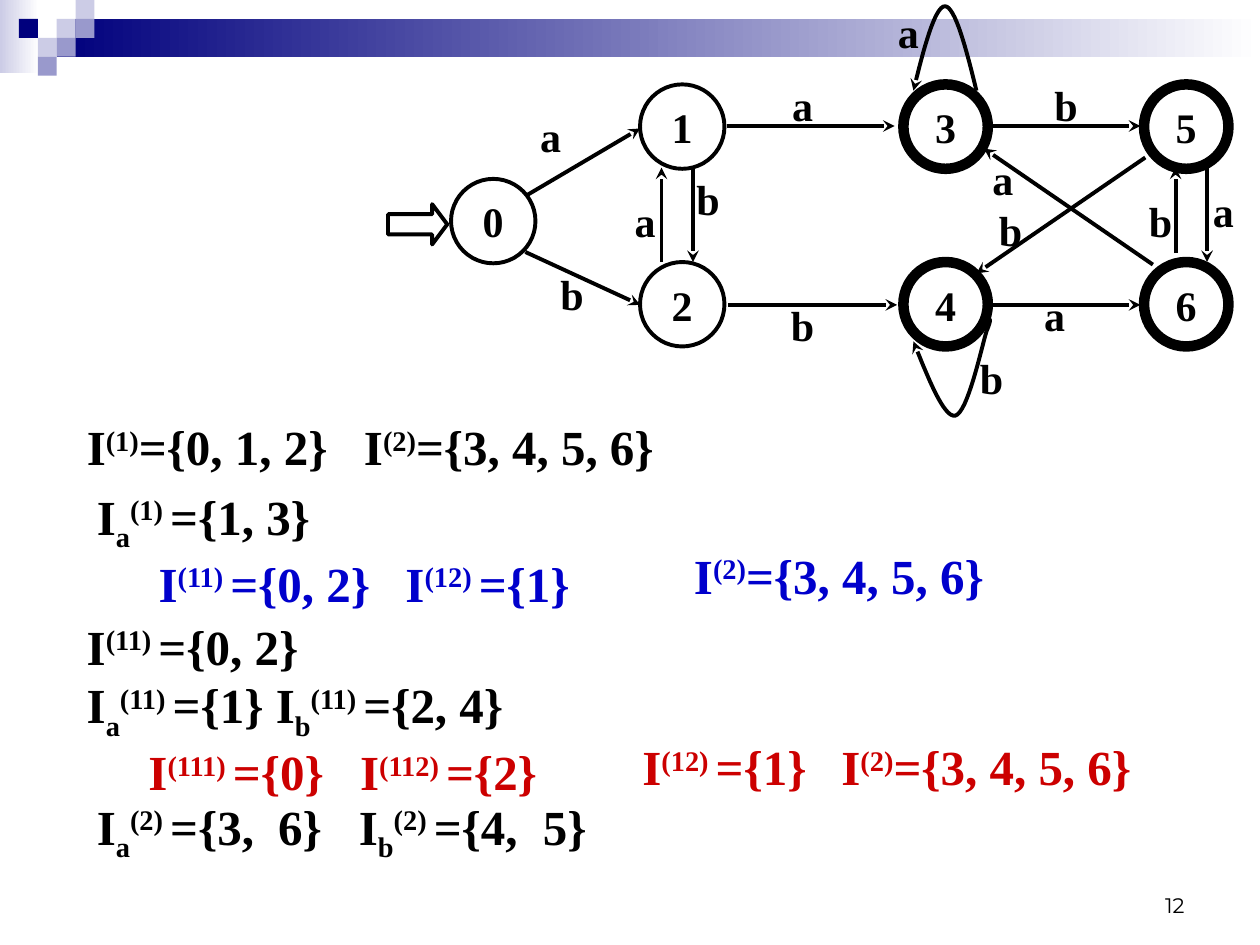
from dataclasses import dataclass

from lxml.etree import SubElement as add_tag
from pptx import Presentation
from pptx.dml.color import RGBColor as Rgb
from pptx.enum.shapes import MSO_CONNECTOR as Link, MSO_SHAPE as Shape
from pptx.enum.text import MSO_ANCHOR as Anchor, PP_ALIGN as Align
from pptx.oxml.ns import qn
from pptx.util import Inches, Pt


@dataclass(frozen=True)
class Theme:
    black: str = "000000"
    white: str = "FFFFFF"
    blue: str = "0000CC"
    red: str = "CC0000"
    navy: str = "00007D"
    lilac: str = "9999CC"
    pale: str = "CCCCE6"
    serif: str = "Times New Roman"
    sans: str = "Montserrat"
    math: int = 28
    label: int = 24
    page: int = 12
    thin: float = 2.25
    thick: float = 6


THEME = Theme()
NODE = 0.67
TOP, MID, LOW = 0.67, 1.42, 2.08

# State name: left, top, line width
STATES = {
    "0": (3.58, MID, THEME.thin),
    "1": (5.08, TOP, THEME.thin),
    "2": (5.08, LOW, THEME.thin),
    "3": (7.17, TOP, THEME.thick),
    "4": (7.17, LOW, THEME.thick),
    "5": (9.08, TOP, THEME.thick),
    "6": (9.08, LOW, THEME.thick),
}

# Each edge: start, end, letter, left and top of the letter's box
EDGES = [
    ((4.18, 1.55), (5.08, 1.02), "a", (4.08, 0.83)),
    ((5.77, 1), (7.1, 1), "a", (6.08, 0.58)),
    ((7.88, 1), (9.05, 1), "b", (8.17, 0.58)),
    ((4.17, 2), (5.08, 2.42), "b", (4.25, 2.08)),
    ((5.78, 2.42), (7.12, 2.42), "b", (6.08, 2.33)),
    ((7.88, 2.42), (9.05, 2.42), "a", (8.08, 2.25)),
    ((5.5, 1.33), (5.5, 2.08), "b", (5.33, 1.33)),
    ((5.25, 2.08), (5.25, 1.33), "a", (4.83, 1.5)),
    ((9.58, 1.33), (9.58, 2.08), "a", (9.42, 1.42)),
    ((9.33, 2.01), (9.33, 1.33), "b", (8.92, 1.5)),
    ((9.15, 2.1), (7.81, 1.18), "a", (7.67, 1.17)),
    ((9.09, 1.25), (7.75, 2.17), "b", (7.73, 1.57)),
]

# Each loop: start, Bezier pieces, letter, left and top of the letter's box
LOOPS = [
    ((7.75, 0.72),
     [((7.67, 0.39), (7.58, 0.05), (7.5, 0.05)),
      ((7.42, 0.05), (7.33, 0.39), (7.25, 0.72))], "a", (6.92, 0)),
    ((7.83, 2.55),
     [((7.85, 2.53), (7.88, 2.51), (7.83, 2.63)),
      ((7.79, 2.76), (7.68, 3.28), (7.58, 3.3)),
      ((7.49, 3.31), (7.37, 3.01), (7.25, 2.71))], "b", (7.58, 2.75)),
]

# Each box: place, then lines of (colour, tab stops, text);
# bars split the text into parts, ^ raises a part and _ lowers it
SETS = [
    ((0.59, 3.26, 5.75, 0.57),
     [(THEME.black, [2.2], "I|^(1)|={0, 1, 2}\tI|^(2)|={3, 4, 5, 6}")]),
    ((0.67, 3.81, 8.6, 1.1),
     [(THEME.black, [], "I|_a|^(1) |={1, 3}"),
      (THEME.blue, [0.49, 2.45], "\tI|^(11) |={0, 2}\tI|^(12) |={1}")]),
    ((5.41, 4.28, 3.07, 0.57),
     [(THEME.blue, [], "I|^(2)|={3, 4, 5, 6}")]),
    ((0.59, 4.84, 8.6, 1.57),
     [(THEME.black, [], "I|^(11) |={0, 2}"),
      (THEME.black, [], "I|_a|^(11) |={1} I|_b|^(11) |={2, 4}"),
      (THEME.red, [0.49, 2.17], "\tI|^(111) |={0}\tI|^(112) |={2}")]),
    ((5, 5.8, 4.57, 0.57),
     [(THEME.red, [1.58], "I|^(12) |={1}\tI|^(2)|={3, 4, 5, 6}")]),
    ((0.67, 6.27, 6.3, 0.63),
     [(THEME.black, [1.44, 2.08, 3.54],
       "I|_a|^(2) |={3,\t6}\tI|_b|^(2) |={4,\t5}")]),
]


def set_font(para, size, color=THEME.black, name=THEME.serif, bold=True):
    font = para.font
    font.size, font.name, font.bold = Pt(size), name, bold
    font.color.rgb = Rgb.from_string(color)


def set_line(shape, width=THEME.thin, arrow=False):
    shape.line.color.rgb = Rgb.from_string(THEME.black)
    shape.line.width = Pt(width)
    if arrow:
        line = shape.element.spPr.find(qn("a:ln"))
        add_tag(line, qn("a:tailEnd"), type="stealth")


def add_form(slide, kind, place):
    shape = slide.shapes.add_shape(kind, *map(Inches, place))
    shape.shadow.inherit = False
    shape.fill.background()
    return shape


def add_block(slide, place, color, fade=False):
    block = add_form(slide, Shape.RECTANGLE, place)
    block.line.fill.background()
    if fade:
        block.fill.gradient()
        block.fill.gradient_angle = 0
        for stop, tone in zip(block.fill.gradient_stops, (color, THEME.white)):
            stop.color.rgb = Rgb.from_string(tone)
    else:
        block.fill.solid()
        block.fill.fore_color.rgb = Rgb.from_string(color)


def add_box(slide, place):
    frame = slide.shapes.add_textbox(*map(Inches, place)).text_frame
    frame.word_wrap = True
    return frame


def put_mark(frame, text):
    frame.word_wrap = False
    frame.vertical_anchor = Anchor.MIDDLE
    para = frame.paragraphs[0]
    para.text, para.alignment = text, Align.CENTER
    set_font(para, THEME.label)


def add_label(slide, text, spot):
    put_mark(add_box(slide, (*spot, 0.58, 0.5)), text)


def add_state(slide, name, left, top, width):
    state = add_form(slide, Shape.OVAL, (left, top, NODE, NODE))
    set_line(state, width)
    put_mark(state.text_frame, name)


def add_edge(slide, start, end):
    edge = slide.shapes.add_connector(
        Link.STRAIGHT, *map(Inches, (*start, *end)))
    set_line(edge, arrow=True)
    add_tag(edge.element.spPr, qn("a:effectLst"))


def trace(start, curves, steps=16):
    for one, two, end in curves:
        for step in range(1, steps + 1):
            t = step / steps
            u = 1 - t
            yield tuple(
                Inches(u**3 * a + 3 * u * u * t * b + 3 * u * t * t * c + t**3 * d)
                for a, b, c, d in zip(start, one, two, end))
        start = end


def add_loop(slide, start, curves):
    pen = slide.shapes.build_freeform(*map(Inches, start))
    pen.add_line_segments(list(trace(start, curves)), close=False)
    loop = pen.convert_to_shape()
    loop.shadow.inherit = False
    loop.fill.background()
    set_line(loop, arrow=True)


def add_sets(slide, place, lines):
    frame = add_box(slide, place)
    for row, (color, stops, text) in enumerate(lines):
        para = frame.add_paragraph() if row else frame.paragraphs[0]
        if stops:
            tabs = add_tag(para._p.get_or_add_pPr(), qn("a:tabLst"))
            for stop in stops:
                add_tag(tabs, qn("a:tab"), pos=str(Inches(stop)), algn="l")
        set_font(para, THEME.math, color)
        for part in text.split("|"):
            run = para.add_run()
            run.text = part.lstrip("^_")
            shift = {"^": "30000", "_": "-25000"}.get(part[0])
            if shift:
                run.font._element.set("baseline", shift)


def add_page(slide, text):
    frame = add_box(slide, (7.17, 6.83, 2.33, 0.5))
    frame.vertical_anchor = Anchor.BOTTOM
    para = frame.paragraphs[0]
    para.text, para.alignment = text, Align.RIGHT
    set_font(para, THEME.page, name=THEME.sans, bold=False)


def main():
    deck = Presentation()
    deck.slide_width, deck.slide_height = Inches(10), Inches(7.5)
    slide = deck.slides.add_slide(deck.slide_layouts[6])

    # Top band with its small squares
    add_block(slide, (0, 0, 0.31, 0.58), THEME.pale, fade=True)
    add_block(slide, (0.45, 0.15, 9.55, 0.3), THEME.navy, fade=True)
    for col, row, color in [
            (3, 1, THEME.pale), (4, 0, THEME.pale), (4, 1, THEME.lilac),
            (2, 2, THEME.pale), (1, 1, THEME.navy), (3, 2, THEME.lilac),
            (2, 3, THEME.lilac)]:
        add_block(slide, (col * 0.15, row * 0.15, 0.15, 0.15), color)

    # Page number and partition steps
    add_page(slide, "12")
    for place, lines in SETS:
        add_sets(slide, place, lines)

    # State graph
    for name, state in STATES.items():
        add_state(slide, name, *state)
    for start, end, text, spot in EDGES:
        add_edge(slide, start, end)
        add_label(slide, text, spot)
    for start, curves, text, spot in LOOPS:
        add_loop(slide, start, curves)
        add_label(slide, text, spot)
    entry = add_form(slide, Shape.RIGHT_ARROW, (3.08, 1.62, 0.47, 0.32))
    entry.adjustments[1] = 0.375
    set_line(entry)

    deck.save("out.pptx")


if __name__ == "__main__":
    main()
